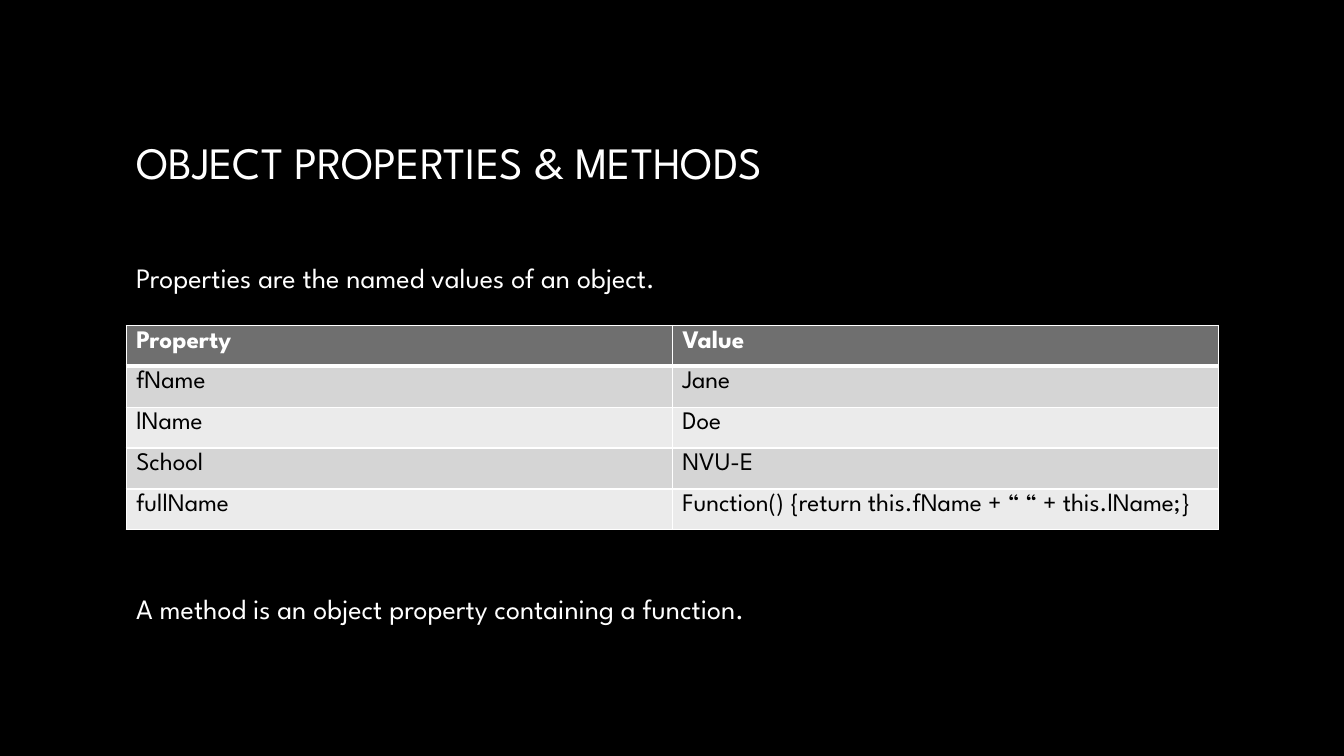
"""Build a slide on object properties and methods."""
from lxml import etree
from pptx import Presentation
from pptx import util as u
from pptx.dml.color import RGBColor
from pptx.enum import text
from pptx.oxml import ns

TITLE = "OBJECT PROPERTIES & METHODS"
PROPERTIES_NOTE = "Properties are the named values of an object."
METHOD_NOTE = "A method is an object property containing a function."
PROPERTIES = [
    ("Property", "Value"),
    ("fName", "Jane"),
    ("lName", "Doe"),
    ("School", "NVU-E"),
    ("fullName", "Function() {return this.fName + “ “ + this.lName;}"),
]

FONT = "League Spartan"
BLACK = RGBColor(0x00, 0x00, 0x00)
WHITE = RGBColor(0xFF, 0xFF, 0xFF)
HEADER = RGBColor(0x6F, 0x6F, 0x6F)
BANDS = [RGBColor(0xEB, 0xEB, 0xEB), RGBColor(0xD5, 0xD5, 0xD5)]

LEFT, WIDTH = u.Cm(3.18), u.Cm(27.52)
ROW_HEIGHT = u.Cm(1.03)


def write(frame, words, size=18, color=WHITE, bold=False, anchor=text.MSO_ANCHOR.TOP):
    frame.word_wrap = True
    frame.vertical_anchor = anchor
    run = frame.paragraphs[0].add_run()
    run.text = words
    run.font.name = FONT
    run.font.size = u.Pt(size)
    run.font.bold = bold
    run.font.color.rgb = color


def add_line(slide, words, top, height, **style):
    box = slide.shapes.add_textbox(LEFT, top, WIDTH, height)
    write(box.text_frame, words, **style)


def add_borders(cell, **widths):
    properties = cell._tc.get_or_add_tcPr()
    for side in "LRTB":
        line = etree.SubElement(properties, ns.qn(f"a:ln{side}"), w=str(u.Pt(widths.get(side, 1))))
        fill = etree.SubElement(line, ns.qn("a:solidFill"))
        etree.SubElement(fill, ns.qn("a:srgbClr"), val=str(WHITE))


def add_properties(slide):
    table = slide.shapes.add_table(
        len(PROPERTIES), 2, LEFT, u.Cm(8.2), WIDTH, ROW_HEIGHT * len(PROPERTIES)
    ).table
    for index, entry in enumerate(PROPERTIES):
        table.rows[index].height = ROW_HEIGHT
        heading = index == 0
        for column, words in enumerate(entry):
            cell = table.cell(index, column)
            add_borders(cell, T=3 if index == 1 else 1, B=3 if heading else 1)
            cell.fill.solid()
            cell.fill.fore_color.rgb = HEADER if heading else BANDS[index % 2]
            write(cell.text_frame, words, color=WHITE if heading else BLACK, bold=heading)


def main():
    deck = Presentation()
    deck.slide_width, deck.slide_height = u.Cm(33.87), u.Cm(19.05)
    slide = deck.slides.add_slide(deck.slide_layouts[6])
    slide.background.fill.solid()
    slide.background.fill.fore_color.rgb = BLACK
    add_line(slide, TITLE, u.Cm(1.7), u.Cm(4.72), size=32, anchor=text.MSO_ANCHOR.MIDDLE)
    add_properties(slide)
    add_line(slide, PROPERTIES_NOTE, u.Cm(6.43), u.Cm(1.11), size=20)
    add_line(slide, METHOD_NOTE, u.Cm(14.78), u.Cm(1.11), size=20)
    deck.save("out.pptx")


if __name__ == "__main__":
    main()
